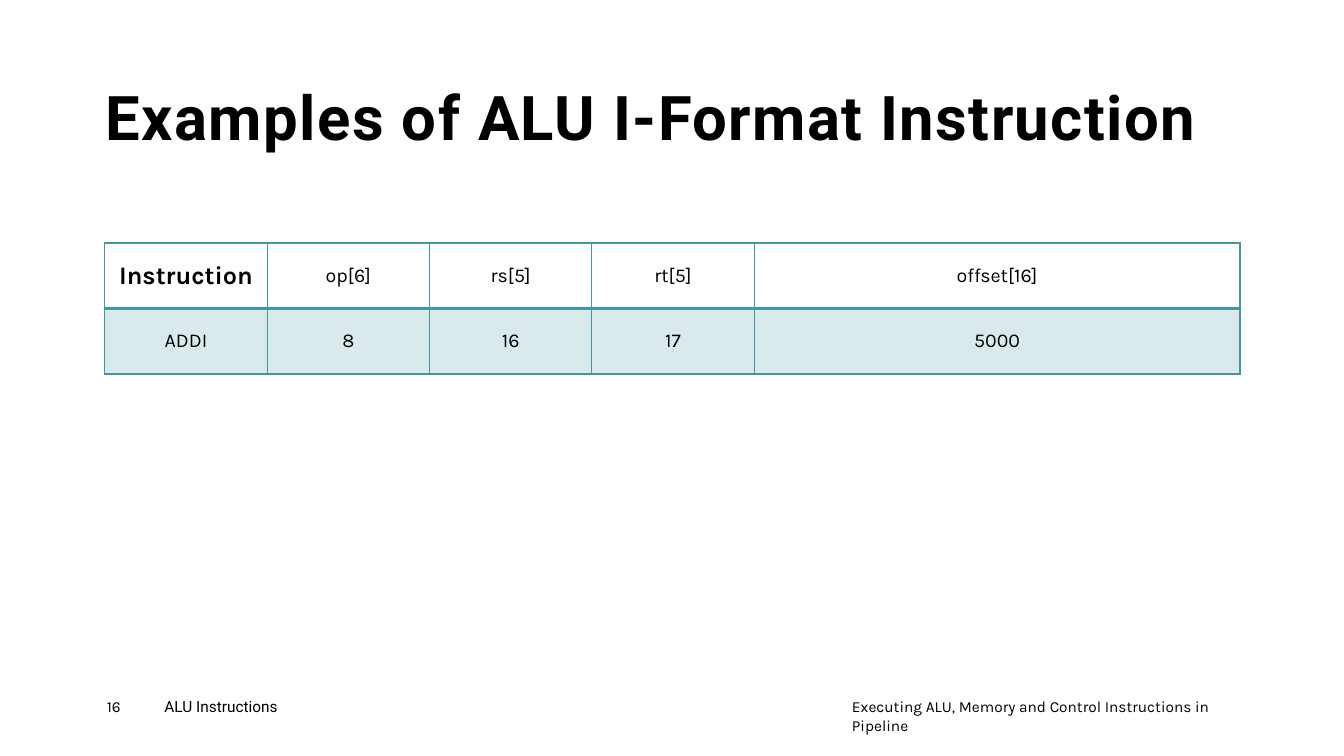
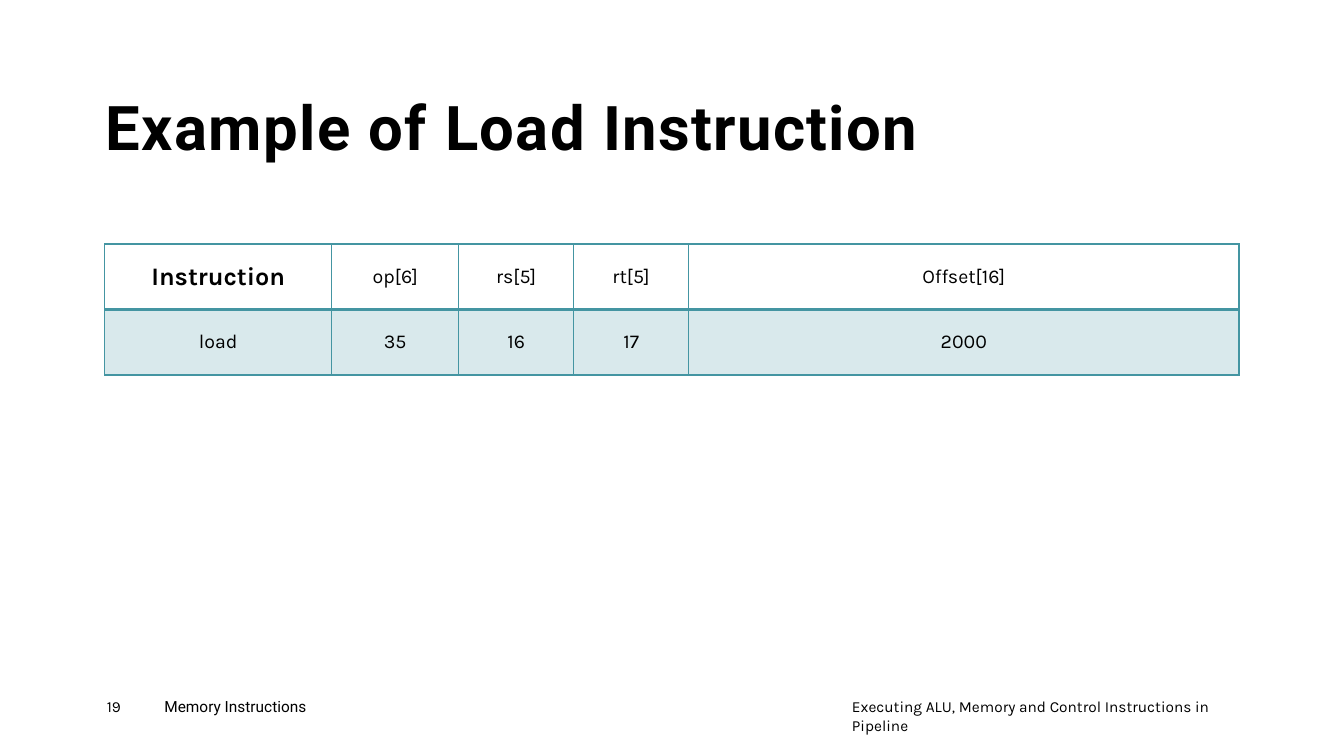
import pptx
import pptx.util
import pptx.dml.color
import pptx.enum.text
import pptx.oxml
import pptx.oxml.ns

PX = 9144  # EMU, 100 px to the inch
INK, TEAL = "000000", "4495A2"
HEAD, BODY = "Roboto", "Karla"
COURSE = "Executing ALU, Memory and Control Instructions in Pipeline"
ANCHOR = pptx.enum.text.MSO_ANCHOR
ALIGN = pptx.enum.text.PP_ALIGN


def px(n):
    return pptx.util.Emu(n * PX)


def color(code):
    return pptx.dml.color.RGBColor.from_string(code)


class Deck:
    """Holds the shared style and the slide being built."""

    def __init__(self):
        self.prs = pptx.Presentation()
        self.prs.slide_width, self.prs.slide_height = px(1333), px(750)
        self.slide = None

    def start(self):
        self.slide = self.prs.slides.add_slide(self.prs.slide_layouts[5])

    def run(self, para, text, size, font=BODY, bold=False):
        run = para.add_run()
        run.text = text
        run.font.name = font
        run.font.size = pptx.util.Pt(size)
        run.font.bold = bold
        run.font.color.rgb = color(INK)
        return run

    def frame(self, shape, anchor):
        """Wrap the text, drop the insets and return the first paragraph."""
        frame = shape.text_frame
        frame.word_wrap = True
        frame.auto_size = pptx.enum.text.MSO_AUTO_SIZE.NONE
        frame.vertical_anchor = anchor
        frame.margin_left = frame.margin_right = 0
        frame.margin_top = frame.margin_bottom = 0
        return frame.paragraphs[0]

    def title(self, text, top):
        shape = self.slide.shapes.title
        shape.left, shape.top = px(105), px(top)
        shape.width, shape.height = px(1125), px(140)
        para = self.frame(shape, ANCHOR.BOTTOM)
        para.alignment = ALIGN.LEFT
        para.line_spacing = 0.9
        run = self.run(para, text, 44, HEAD, True)
        run.font._element.set("spc", "100")

    def label(self, text, left, width, font=BODY):
        box = self.slide.shapes.add_textbox(px(left), px(692), px(width), px(27))
        self.run(self.frame(box, ANCHOR.TOP), text, 11, font)

    def footer(self, page, topic):
        self.label(page, 106, 57)
        self.label(topic, 163, 164, HEAD)
        self.label(COURSE, 845, 382)

    def border(self, cell, base):
        """Draw 1 pt edges, with the bottom one base points wide."""
        props = cell._tc.get_or_add_tcPr()
        for i, (side, width) in enumerate(zip("LRTB", (1, 1, 1, base))):
            props.insert(i, pptx.oxml.parse_xml(
                f'<a:ln{side} {pptx.oxml.ns.nsdecls("a")} w="{width * 12700}">'
                f'<a:solidFill><a:srgbClr val="{TEAL}"/></a:solidFill>'
                f'</a:ln{side}>'))

    def tint(self, cell):
        cell.fill.solid()
        cell.fill.fore_color.rgb = color(TEAL)
        fill = cell._tc.tcPr.find(".//" + pptx.oxml.ns.qn("a:srgbClr"))
        fill.append(pptx.oxml.parse_xml(
            f'<a:alpha {pptx.oxml.ns.nsdecls("a")} val="20000"/>'))

    def table(self, top, cols, rows):
        table = self.slide.shapes.add_table(
            len(rows), len(cols), px(104), px(top),
            px(sum(cols)), px(65 * len(rows))).table
        table.first_row = table.horz_banding = False
        for col, width in zip(table.columns, cols):
            col.width = px(width)
        for r, row in enumerate(rows):
            table.rows[r].height = px(65)
            for c, text in enumerate(row):
                cell = table.cell(r, c)
                cell.vertical_anchor = ANCHOR.MIDDLE
                para = cell.text_frame.paragraphs[0]
                para.alignment = ALIGN.CENTER
                main = r == c == 0
                self.run(para, text, 18 if main else 14, bold=main)
                if r:
                    self.tint(cell)
                else:
                    cell.fill.background()
                self.border(cell, 1 if r else 2)


def main():
    deck = Deck()

    deck.start()
    deck.title("Examples of ALU I-Format Instruction", 13)
    deck.table(241, (161, 161, 161, 161, 482), (
        ("Instruction", "op[6]", "rs[5]", "rt[5]", "offset[16]"),
        ("ADDI", "8", "16", "17", "5000")))
    deck.footer("16", "ALU Instructions")

    deck.start()
    deck.title("Example of Load Instruction", 23)
    deck.table(242, (225, 126, 114, 114, 546), (
        ("Instruction", "op[6]", "rs[5]", "rt[5]", "Offset[16]"),
        ("load", "35", "16", "17", "2000")))
    deck.footer("19", "Memory Instructions")

    deck.prs.save("out.pptx")


if __name__ == "__main__":
    main()
